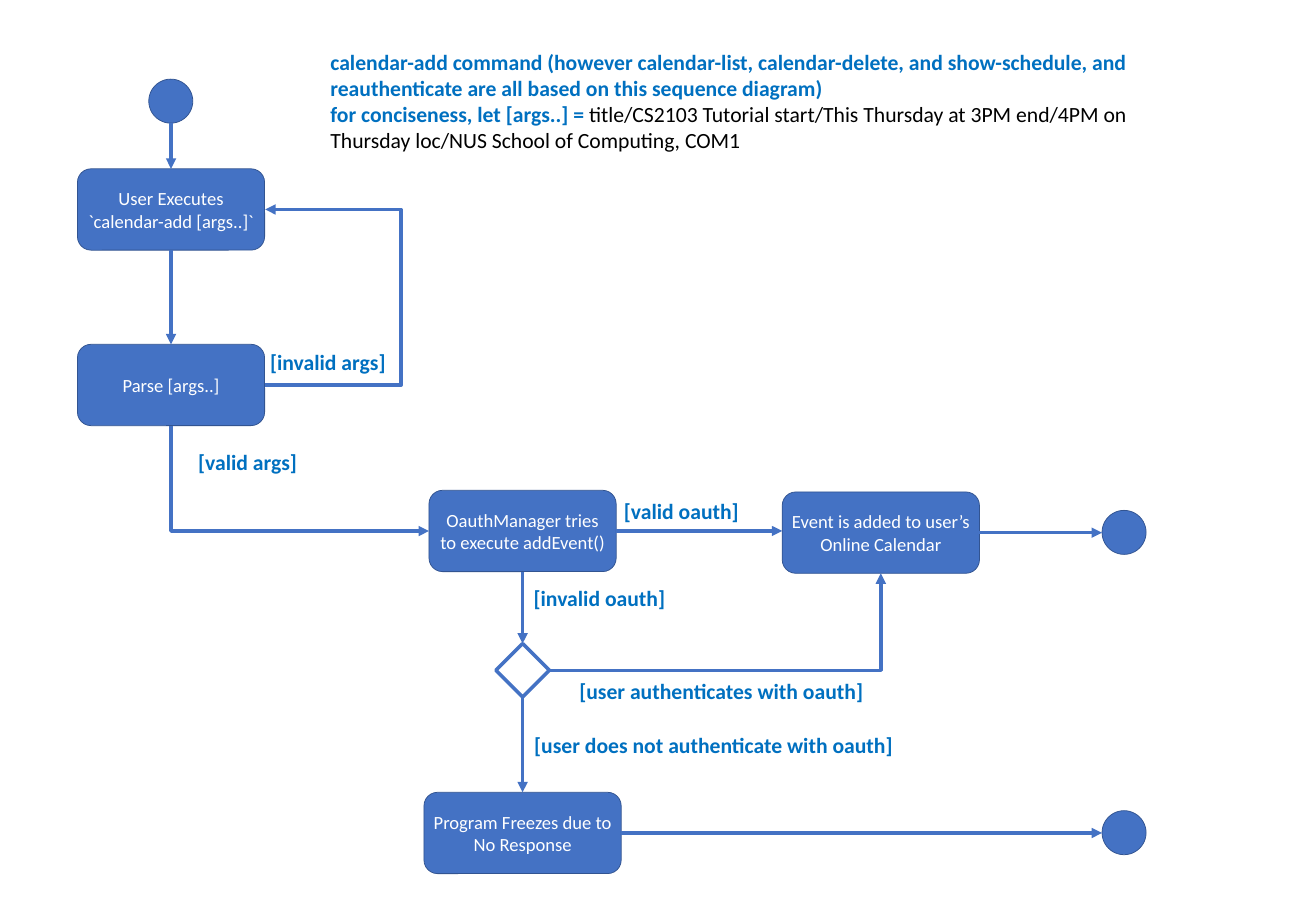
from lxml import etree
from pptx import Presentation
from pptx.dml.color import RGBColor
from pptx.enum import shapes, text
from pptx.oxml import ns
from pptx.util import Pt

PX = 9144  # one hundredth of an inch
THEME = {
    "font": "Calibri", "fill": "4472C4", "edge": "325491", "label": "0070C0",
    "black": "000000", "white": "FFFFFF",
    "big": 28, "small": 24, "thin": 1, "thick": 4.5,
}
KIND = shapes.MSO_SHAPE
LINK = shapes.MSO_CONNECTOR


def write(shape, words, size="big", tint="label", bold=True, align=text.PP_ALIGN.LEFT):
    """Append words to the last paragraph; each newline starts another one."""
    frame = shape.text_frame
    for i, line in enumerate(words.split("\n")):
        para = frame.add_paragraph() if i else frame.paragraphs[-1]
        para.alignment = align
        run = para.add_run()
        run.text = line
        run.font.name = THEME["font"]
        run.font.size = Pt(THEME[size])
        run.font.bold = bold
        run.font.color.rgb = RGBColor.from_string(THEME[tint])


def join(x1, y1, x2, y2, kind=LINK.STRAIGHT):
    """Draw a connector with an arrowhead at its end."""
    line = slide.shapes.add_connector(kind, x1 * PX, y1 * PX, x2 * PX, y2 * PX)
    line.line.color.rgb = RGBColor.from_string(THEME["fill"])
    line.line.width = Pt(THEME["thick"])
    etree.SubElement(line.line._get_or_add_ln(), ns.qn("a:tailEnd"), type="triangle")
    etree.SubElement(line._element.spPr, ns.qn("a:effectLst"))
    return line


deck = Presentation()
deck.slide_width, deck.slide_height = 2362 * PX, 1653 * PX
slide = deck.slides.add_slide(deck.slide_layouts[5])

# Heading
title = slide.shapes.title
title.left, title.top, title.width, title.height = [n * PX for n in (583, 82, 1575, 199)]
title.text_frame.word_wrap = True
title.text_frame.auto_size = text.MSO_AUTO_SIZE.NONE
title.text_frame.vertical_anchor = text.MSO_ANCHOR.TOP
write(title, "calendar-add command (however calendar-list, calendar-delete, and "
      "show-schedule, and reauthenticate are all based on this sequence diagram)\n"
      "for conciseness, let [args..] = ")
write(title, "title/CS2103 Tutorial start/This Thursday at 3PM end/4PM on Thursday "
      "loc/NUS School of Computing, COM1", tint="black", bold=False)

# Nodes
nodes = {}
for name, kind, x, y, w, h, words in (
    ("start", KIND.OVAL, 267, 142, 79, 79, ""),
    ("user", KIND.ROUNDED_RECTANGLE, 139, 303, 336, 146,
     "User Executes\n`calendar-add [args..]`"),
    ("parse", KIND.ROUNDED_RECTANGLE, 139, 618, 336, 146, "Parse [args..]"),
    ("oauth", KIND.ROUNDED_RECTANGLE, 770, 880, 336, 146,
     "OauthManager tries to execute addEvent()"),
    ("event", KIND.ROUNDED_RECTANGLE, 1404, 883, 354, 146,
     "Event is added to user’s Online Calendar"),
    ("choice", KIND.DIAMOND, 890, 1155, 96, 96, ""),
    ("freeze", KIND.ROUNDED_RECTANGLE, 761, 1422, 354, 146,
     "Program Freezes due to No Response"),
    ("done", KIND.OVAL, 1978, 916, 79, 79, ""),
    ("halt", KIND.OVAL, 1978, 1455, 79, 79, ""),
):
    node = slide.shapes.add_shape(kind, x * PX, y * PX, w * PX, h * PX)
    node.shadow.inherit = False
    hollow = kind == KIND.DIAMOND
    if hollow:
        node.fill.background()
    else:
        node.fill.solid()
        node.fill.fore_color.rgb = RGBColor.from_string(THEME["fill"])
    node.line.color.rgb = RGBColor.from_string(THEME["fill" if hollow else "edge"])
    node.line.width = Pt(THEME["thick" if hollow else "thin"])
    if words:
        node.text_frame.word_wrap = True
        node.text_frame.vertical_anchor = text.MSO_ANCHOR.MIDDLE
        write(node, words, "small", "white", False, text.PP_ALIGN.CENTER)
    nodes[name] = node

# Straight arrows
for ends in (
    (307, 221, 307, 303), (307, 449, 307, 618),
    (938, 1026, 938, 1155), (938, 1251, 938, 1422),
    (1106, 953, 1404, 953), (1758, 956, 1978, 956), (1115, 1495, 1978, 1495),
):
    join(*ends)

# Bent arrows: sites are 0 top, 1 left, 2 bottom, 3 right
bends = {}
for tail, out, head, into, ends in (
    ("parse", 2, "oauth", 1, (307, 764, 770, 953)),
    ("choice", 3, "event", 0 + 2, (986, 1203, 1581, 1029)),
    ("parse", 3, "user", 3, (475, 691, 476, 376)),
):
    bend = join(*ends, kind=LINK.ELBOW)
    bend.begin_connect(nodes[tail], out)
    bend.end_connect(nodes[head], into)
    bends[tail, head] = bend

for pair in (("parse", "oauth"), ("choice", "event")):
    bends[pair]._element.spPr.prstGeom.set("prst", "bentConnector2")

# The valid branch leaves downwards, so its frame is turned and mirrored
valid = bends["parse", "oauth"]
valid.left, valid.top, valid.width, valid.height = [n * PX for n in (444, 627, 189, 463)]
frame = valid._element.spPr.find(ns.qn("a:xfrm"))
frame.set("rot", "16200000")
frame.set("flipH", "1")

# The retry loop swings 249 px right of its one-px-wide frame
retry = bends["parse", "user"]
retry.end_x = 476 * PX
guides = retry._element.spPr.prstGeom.get_or_add_avLst()
etree.SubElement(guides, ns.qn("a:gd"), name="adj1", fmla="val 24900000")

# Branch labels
for words, x, y, w, wrap in (
    ("[valid args]", 346, 800, 200, False),
    ("[invalid args]", 475, 622, 230, False),
    ("[valid oauth]", 1110, 888, 229, False),
    ("[invalid oauth]", 948, 1044, 259, False),
    ("[user authenticates with oauth]", 1030, 1211, 533, True),
    ("[user does not authenticate with oauth]", 949, 1308, 706, True),
):
    label = slide.shapes.add_textbox(x * PX, y * PX, w * PX, 57 * PX)
    label.text_frame.word_wrap = wrap
    write(label, words)

deck.save("out.pptx")
